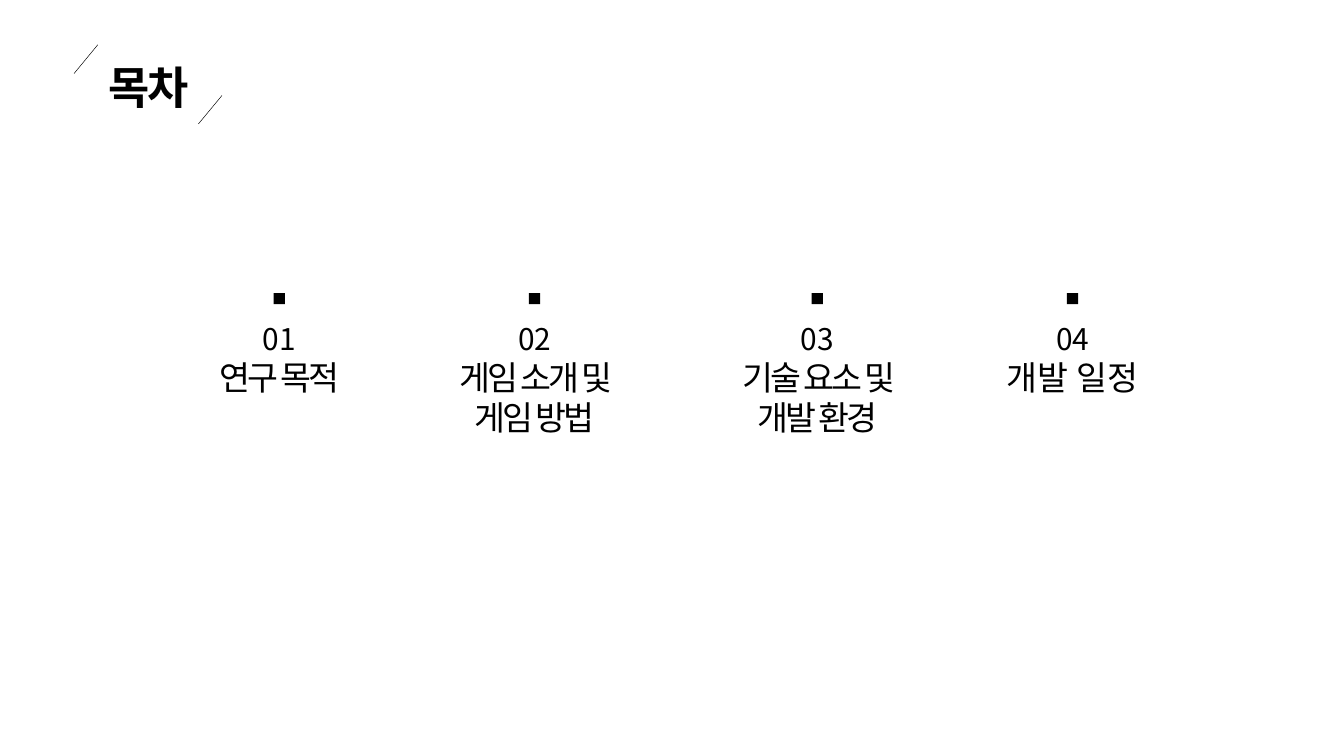
from pptx import Presentation
from pptx.dml.color import RGBColor
from pptx.enum.shapes import MSO_CONNECTOR, MSO_SHAPE
from pptx.enum.text import MSO_ANCHOR, MSO_AUTO_SIZE, PP_ALIGN
from pptx.oxml.ns import qn
from pptx.util import Pt
from lxml import etree

BLACK = RGBColor(0x00, 0x00, 0x00)
WHITE = RGBColor(0xFF, 0xFF, 0xFF)
CENTER = PP_ALIGN.CENTER
TOP = MSO_ANCHOR.TOP
MIDDLE = MSO_ANCHOR.MIDDLE
NO_FIT = MSO_AUTO_SIZE.NONE
STRAIGHT = MSO_CONNECTOR.STRAIGHT
RECTANGLE = MSO_SHAPE.RECTANGLE
FONT = "Noto Sans CJK KR"


def write_text(para, text, size=18, bold=False, tracking=0):
    para.alignment = CENTER
    span = para.add_run()
    span.text = text
    span.font.size = Pt(size)
    span.font.bold = bold
    span.font.name = FONT
    span.font.color.rgb = BLACK
    properties = span.font._element
    properties.set("spc", str(int(tracking * 100)))
    latin = properties.find(qn("a:latin"))
    east_asian = etree.Element(qn("a:ea"), typeface=FONT)
    latin.addnext(east_asian)


class AgendaPage:
    marker_size = 6
    marker_top = 157
    text_top = 168.5

    def __init__(self, deck):
        self.page = deck.slides.add_slide(deck.slide_layouts[5])
        self.page.background.fill.solid()
        self.page.background.fill.fore_color.rgb = WHITE

    def prepare_frame(self, frame, anchor):
        frame.word_wrap = True
        frame.auto_size = NO_FIT
        frame.vertical_anchor = anchor

    def title(self, text, left, top, width, height):
        box = self.page.shapes.title
        box.left, box.top = Pt(left), Pt(top)
        box.width, box.height = Pt(width), Pt(height)
        self.prepare_frame(box.text_frame, MIDDLE)
        write_text(box.text_frame.paragraphs[0], text,
                   size=24, bold=True, tracking=-1.5)

    def stroke(self, start, end):
        line = self.page.shapes.add_connector(
            STRAIGHT, *(Pt(value) for value in start + end))
        line.line.color.rgb = BLACK
        line.line.width = Pt(0.25)
        etree.SubElement(line._element.spPr, qn("a:effectLst"))

    def item(self, number, label, center, width, height, tracking):
        group = self.page.shapes.add_group_shape()
        box = group.shapes.add_textbox(
            Pt(center - width / 2), Pt(self.text_top), Pt(width), Pt(height))
        frame = box.text_frame
        self.prepare_frame(frame, TOP)
        write_text(frame.paragraphs[0], number, size=16)
        write_text(frame.add_paragraph(), label, tracking=tracking)
        marker = group.shapes.add_shape(
            RECTANGLE, Pt(center - self.marker_size / 2), Pt(self.marker_top),
            Pt(self.marker_size), Pt(self.marker_size))
        marker.shadow.inherit = False
        marker.fill.solid()
        marker.fill.fore_color.rgb = BLACK
        marker.line.fill.background()


def main():
    deck = Presentation()
    deck.slide_width, deck.slide_height = Pt(720), Pt(405)
    agenda = AgendaPage(deck)
    agenda.title("목차", 14.4, 28.4, 130.3, 36)
    agenda.stroke((118.9, 51.2), (106.3, 66.4))
    agenda.stroke((52.4, 24), (39.7, 39.4))

    items = [
        ("연구 목적", 149.6, 101, 48.2, -1.5),
        ("게임 소개 및 게임 방법", 286.4, 111, 70.6, -1.5),
        ("기술 요소 및 개발 환경", 437.8, 111, 70.6, -1.5),
        ("개발 일정", 574.6, 101, 48.2, 0),
    ]
    for number, (label, center, width, height, tracking) in enumerate(items, 1):
        agenda.item(f"{number:02d}", label, center, width, height, tracking)
    deck.save("out.pptx")


if __name__ == "__main__":
    main()
